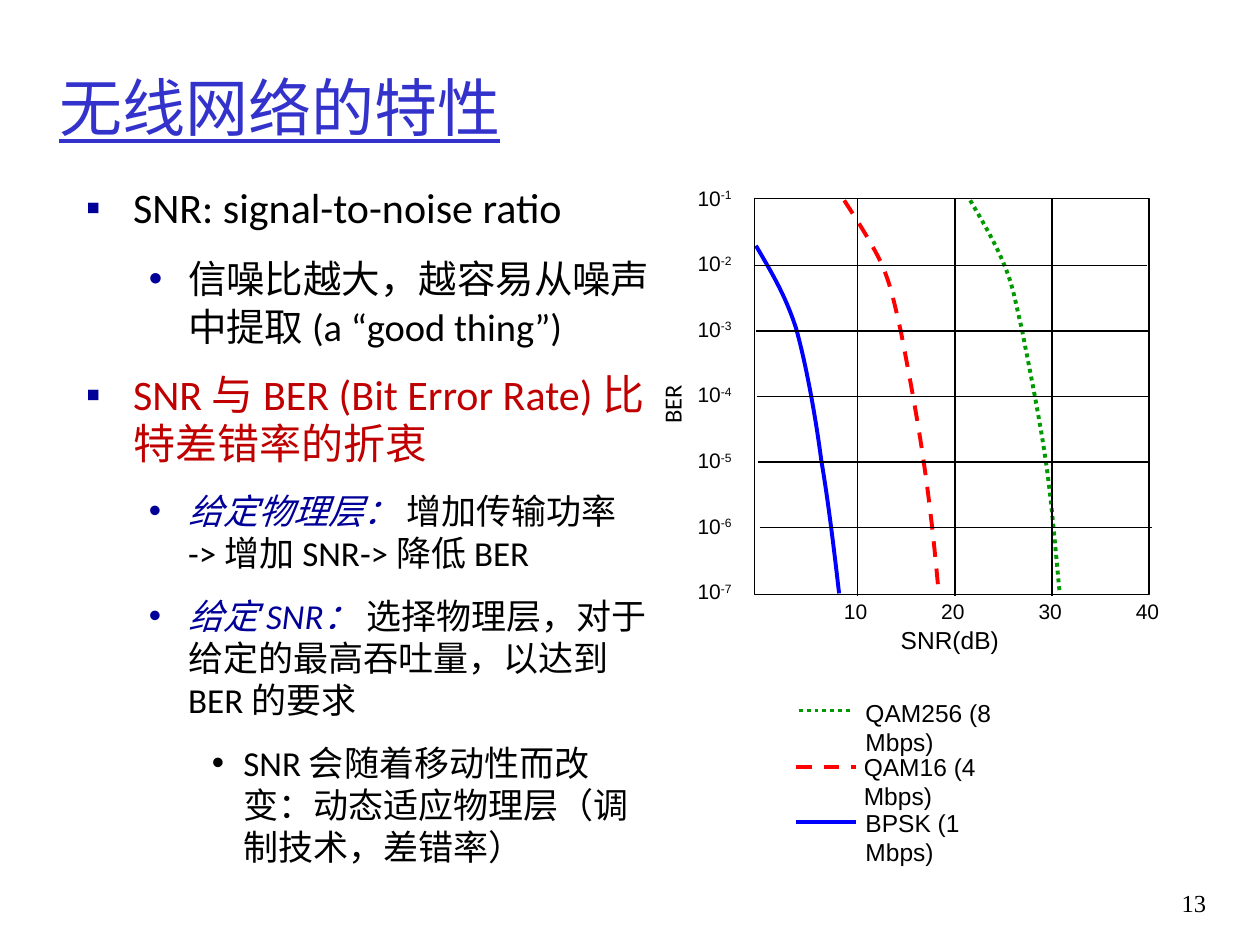
import pptx
import pptx.dml.color
import pptx.enum.dml
import pptx.enum.shapes
import pptx.enum.text
import pptx.oxml.ns
import pptx.util
from lxml import etree

Pt = pptx.util.Pt
qn = pptx.oxml.ns.qn
DASH = pptx.enum.dml.MSO_LINE
AUTO = pptx.enum.text.MSO_AUTO_SIZE
ALIGN = pptx.enum.text.PP_ALIGN

COLORS = {"title": "3333CC", "navy": "000099", "accent": "C00000", "black": "000000",
          "bpsk": "0000FF", "qam16": "FF0000", "qam256": "009900"}
CJK_FONT = "Noto Sans CJK SC"
BLACK, ACCENT = {"color": "black"}, {"color": "accent"}
TERM = {"color": "navy", "italic": True}

# Each paragraph: level, size, line height, bullet, bullet colour, runs of (text, format)
BODY = [
    (0, 24, 28, "▪", "navy", [("SNR: signal-to-noise ratio", BLACK)]),
    (1, 22, 27.5, "•", "navy", [("信噪比越大，越容易从噪声中提取 ", BLACK),
                                ("(a “good thing”)", {"east_asian": "Calibri"})]),
    (0, 24, 28, "▪", "navy", [("SNR 与 BER (Bit Error Rate) 比特差错率的折衷", ACCENT)]),
    (1, 20, 24, "•", "navy", [("给定物理层： ", TERM),
                              ("增加传输功率 -> 增加 SNR-> 降低 BER", BLACK)]),
    (1, 20, 24, "•", "navy", [("给定 SNR： ", TERM),
                              ("选择物理层，对于给定的最高吞吐量，以达到 BER 的要求", BLACK)]),
    (2, 20, 24, "•", "black",
     [("SNR 会随着移动性而改变：动态适应物理层（调制技术，差错率）", BLACK)]),
]
INDENTS = [(27, -27), (58.5, -22.5), (90, -18)]

# Each curve: colour, dash, Bezier points (start, then two controls and an end per piece)
CURVES = [
    ("bpsk", None, [(432, 140.4), (439.9, 154.1), (448.6, 167.8), (455, 187.9),
                    (460.8, 208.8), (466.1, 238.3), (469.4, 263.5),
                    (473.8, 288.7), (478.1, 326.9), (479.5, 339.1)]),
    ("qam16", DASH.DASH, [(482.4, 114.5), (490.3, 126.7), (498.2, 139), (504, 151.2),
                          (509, 163.4), (510.5, 170.6), (514.8, 189.4),
                          (518.4, 208.1), (524.2, 238.3), (527.8, 263.5),
                          (531.4, 288), (534.2, 313.9), (536.4, 339.1)]),
    ("qam256", DASH.ROUND_DOT, [(554.4, 114.5), (561.6, 126.7), (568.8, 139), (573.8, 151.2),
                                (578.9, 163.4), (579.6, 169.9), (583.9, 187.9),
                                (587.5, 206.6), (594, 238.3), (597.6, 263.5),
                                (601.2, 288), (604.1, 325.4), (605.5, 338.4)]),
]

# Each legend row: label, colour, dash, line y, line start, line end, text x, text y, text width
LEGEND = [
    ("QAM256 (8 Mbps)", "qam256", DASH.ROUND_DOT, 406, 456.5, 487.5, 487.5, 395.3, 128),
    ("QAM16 (4 Mbps)", "qam16", DASH.DASH, 438.5, 455, 489, 486.5, 426.2, 121),
    ("BPSK (1 Mbps)", "bpsk", None, 469.5, 455, 489, 487.5, 457.9, 111),
]


def rgb(name):
    return pptx.dml.color.RGBColor.from_string(COLORS[name])


def add_text(p, text, size=12, font="Arial", east_asian=CJK_FONT, color="black",
             italic=False, underline=False, superscript=False):
    r = p.add_run()
    r.text = text
    r.font.size = Pt(size)
    r.font.name = font
    r.font.color.rgb = rgb(color)
    r.font.italic = italic
    r.font.underline = underline
    rpr = r._r.get_or_add_rPr()
    rpr.find(qn("a:latin")).addnext(etree.Element(qn("a:ea"), typeface=east_asian))
    if superscript:
        rpr.set("baseline", "30000")


def place(sp, left, top, width, height):
    sp.left, sp.top, sp.width, sp.height = Pt(left), Pt(top), Pt(width), Pt(height)


def add_label(slide, text, left, top, width, height, exponent=None, **fmt):
    sp = slide.shapes.add_textbox(Pt(left), Pt(top), Pt(width), Pt(height))
    tf = sp.text_frame
    tf.word_wrap = False
    tf.auto_size = AUTO.SHAPE_TO_FIT_TEXT
    p = tf.paragraphs[0]
    add_text(p, text, **fmt)
    if exponent:
        add_text(p, exponent, superscript=True, **fmt)
    return sp


def style_line(line, color="black", width=0.75, dash=None):
    line.color.rgb = rgb(color)
    line.width = Pt(width)
    if dash:
        line.dash_style = dash


def add_line(slide, x1, y1, x2, y2, **fmt):
    sp = slide.shapes.add_connector(pptx.enum.shapes.MSO_CONNECTOR.STRAIGHT,
                                    Pt(x1), Pt(y1), Pt(x2), Pt(y2))
    style_line(sp.line, **fmt)
    etree.SubElement(sp._element.spPr, qn("a:effectLst"))


def add_curve(slide, color, dash, points):
    """Draw a freeform whose straight segments, three by three, become Bezier pieces."""
    start, *rest = [(Pt(x), Pt(y)) for x, y in points]
    builder = slide.shapes.build_freeform(*start)
    builder.add_line_segments(rest, close=False)
    sp = builder.convert_to_shape()
    segments = list(sp._element.iter(qn("a:lnTo")))
    for i in range(0, len(segments), 3):
        bezier = segments[i]
        bezier.tag = qn("a:cubicBezTo")
        for segment in segments[i + 1:i + 3]:
            bezier.append(segment[0])
            segment.getparent().remove(segment)
    sp.shadow.inherit = False
    sp.fill.background()
    style_line(sp.line, color, 2.25, dash)


def add_bullet(p, char, color, level):
    ppr = p._p.get_or_add_pPr()
    margin, indent = INDENTS[level]
    ppr.set("marL", str(Pt(margin)))
    ppr.set("indent", str(Pt(indent)))
    ppr.set("hangingPunct", "0")
    bu_color = etree.SubElement(ppr, qn("a:buClr"))
    etree.SubElement(bu_color, qn("a:srgbClr"), val=COLORS[color])
    etree.SubElement(ppr, qn("a:buFont"), typeface="Arial")
    etree.SubElement(ppr, qn("a:buChar"), char=char)


def fill_title(sp):
    place(sp, 26.6, 15.8, 612, 90)
    tf = sp.text_frame
    tf.auto_size = AUTO.NONE
    tf.vertical_anchor = pptx.enum.text.MSO_ANCHOR.MIDDLE
    p = tf.paragraphs[0]
    p.alignment = ALIGN.LEFT
    add_text(p, "无线网络的特性", size=36, font="Calibri", color="title", underline=True)


def fill_body(sp):
    place(sp, 41.8, 101, 337, 409)
    tf = sp.text_frame
    tf.auto_size = AUTO.NONE
    for i, (level, size, height, char, bullet_color, runs) in enumerate(BODY):
        p = tf.add_paragraph() if i else tf.paragraphs[0]
        p.level = level
        add_bullet(p, char, bullet_color, level)
        p.line_spacing = Pt(height)
        p.space_before = Pt(12 if i else 0)
        for text, fmt in runs:
            add_text(p, text, size=size, font="Calibri", **fmt)


def add_plot(slide):
    for curve in CURVES:
        add_curve(slide, *curve)
    frame = slide.shapes.add_shape(pptx.enum.shapes.MSO_SHAPE.RECTANGLE,
                                   Pt(431.3), Pt(113.3), Pt(225.3), Pt(226.6))
    frame.shadow.inherit = False
    frame.fill.background()
    style_line(frame.line)
    for i in range(5):
        x, y = 431.3 + 0.7 * i, 151.8 + 37.4 * i
        add_line(slide, x, y, x + 224, y)
    for i in range(3):
        x = 490.2 + 55.5 * i
        add_line(slide, x, 113.7, x, 340.5)
    for i in range(4):
        add_label(slide, str(10 * (i + 1)), 475.2 + 55.6 * i, 338.4, 28, 21.8)
    for i in range(7):
        add_label(slide, "10", 391.5, 102.2 + 37.5 * i, 34.5, 21.8, exponent=f"-{i + 1}")
    add_label(slide, "SNR(dB)", 507.6, 353.5, 70.5, 24, size=14)
    add_label(slide, "BER", 365, 218.2, 38, 24, size=14, font="Calibri").rotation = 270


def add_legend(slide):
    for text, color, dash, y, start, end, left, top, width in LEGEND:
        add_line(slide, start, y, end, y, color=color, width=2.25, dash=dash)
        tf = add_label(slide, text, left, top, width, 24, size=14).text_frame
        tf.auto_size = AUTO.NONE
        tf.word_wrap = True
        tf.margin_right = Pt(width - 87)


def main():
    prs = pptx.Presentation()
    prs.slide_width, prs.slide_height = Pt(720), Pt(540)
    slide = prs.slides.add_slide(prs.slide_layouts[1])
    fill_title(slide.shapes.title)
    fill_body(slide.placeholders[1])
    add_plot(slide)
    add_legend(slide)
    number = add_label(slide, "13", 643, 504, 53.3, 36, size=14, font="Times New Roman")
    number.text_frame.word_wrap = True
    number.text_frame.auto_size = AUTO.NONE
    number.text_frame.paragraphs[0].alignment = ALIGN.RIGHT
    prs.save("out.pptx")


if __name__ == "__main__":
    main()
